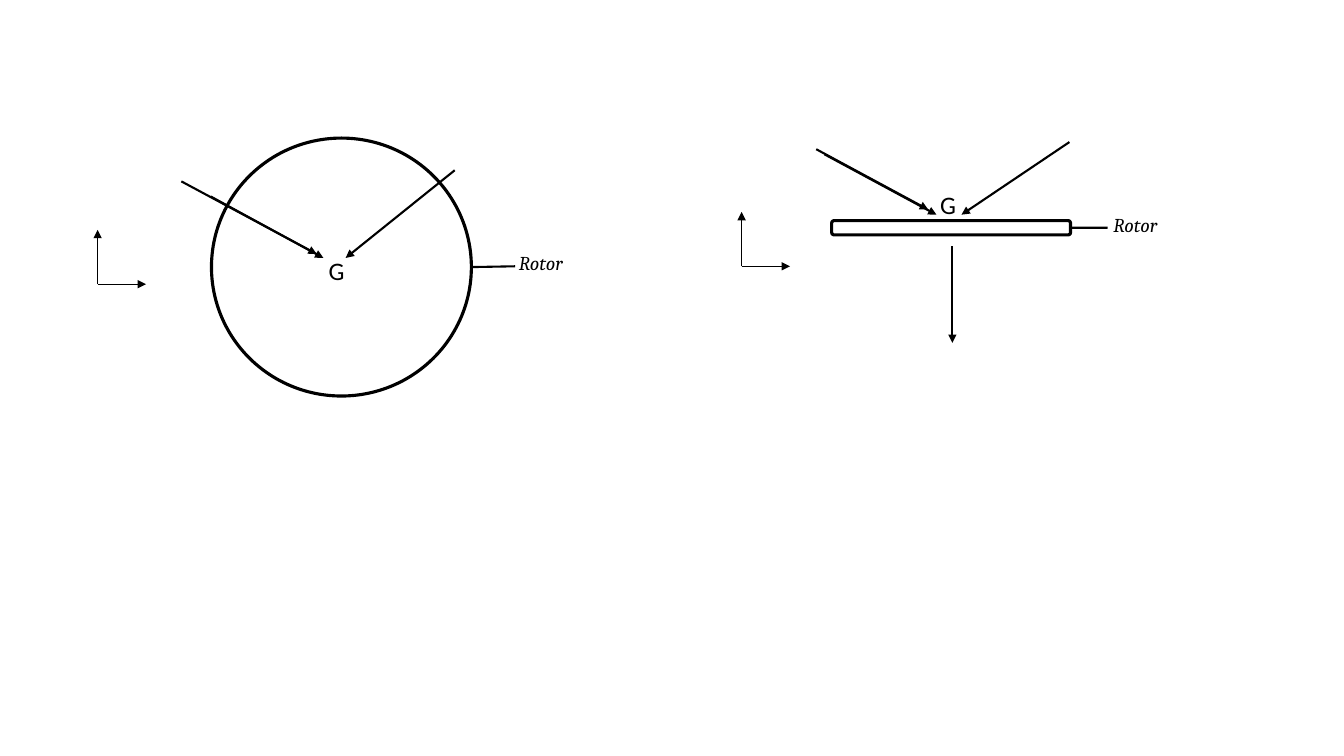
from dataclasses import dataclass

from lxml import etree
from pptx import Presentation
from pptx.dml.color import RGBColor
from pptx.enum.shapes import MSO_CONNECTOR, MSO_SHAPE
from pptx.enum.text import MSO_AUTO_SIZE
from pptx.oxml.ns import qn
from pptx.shapes.autoshape import Shape
from pptx.shapes.connector import Connector
from pptx.slide import Slide
from pptx.util import Cm, Pt

STRAIGHT = MSO_CONNECTOR.STRAIGHT
DISC = MSO_SHAPE.FLOWCHART_CONNECTOR
PLATE = MSO_SHAPE.ROUNDED_RECTANGLE
GROW = MSO_AUTO_SIZE.SHAPE_TO_FIT_TEXT
BLACK = "000000"
WHITE = "FFFFFF"
RIGHT_SIDE = 3
AXIS_WIDTH = 1.22
AXIS_HEIGHT = 1.37


@dataclass(frozen=True)
class Stroke:
    x1: float
    y1: float
    x2: float
    y2: float
    weight: float = 1.5
    arrow: bool = True


@dataclass(frozen=True)
class Body:
    kind: MSO_SHAPE
    left: float
    top: float
    width: float
    height: float


@dataclass(frozen=True)
class Label:
    text: str
    left: float
    top: float
    width: float
    height: float
    size: int
    font: str
    italic: bool


@dataclass(frozen=True)
class View:
    rotor: Body
    forces: tuple[Stroke, ...]
    leader: Stroke
    labels: tuple[Label, ...]
    origin: tuple[float, float]


def color(value: str) -> RGBColor:
    return RGBColor.from_string(value)


def centre_label(left: float, top: float) -> Label:
    return Label("G", left, top, 1.24, 1.02, 18, "Calibri", False)


def rotor_label(left: float, top: float) -> Label:
    return Label("Rotor", left, top, 2.64, 0.86, 14, "Cambria", True)


def draw_body(slide: Slide, body: Body) -> Shape:
    shape = slide.shapes.add_shape(
        body.kind, Cm(body.left), Cm(body.top), Cm(body.width), Cm(body.height)
    )
    shape.shadow.inherit = False
    shape.fill.solid()
    shape.fill.fore_color.rgb = color(WHITE)
    shape.line.color.rgb = color(BLACK)
    shape.line.width = Pt(2.25)
    return shape


def draw_stroke(slide: Slide, stroke: Stroke) -> Connector:
    connector = slide.shapes.add_connector(
        STRAIGHT, Cm(stroke.x1), Cm(stroke.y1), Cm(stroke.x2), Cm(stroke.y2)
    )
    connector.line.color.rgb = color(BLACK)
    connector.line.width = Pt(stroke.weight)
    properties = connector.element.spPr
    if stroke.arrow:
        etree.SubElement(properties.find(qn("a:ln")), qn("a:tailEnd"), type="triangle")
    etree.SubElement(properties, qn("a:effectLst"))
    return connector


def draw_label(slide: Slide, label: Label) -> None:
    box = slide.shapes.add_textbox(
        Cm(label.left), Cm(label.top), Cm(label.width), Cm(label.height)
    )
    frame = box.text_frame
    frame.word_wrap = True
    frame.auto_size = GROW
    paragraph = frame.paragraphs[0]
    paragraph.text = label.text
    paragraph.font.size = Pt(label.size)
    paragraph.font.name = label.font
    paragraph.font.italic = label.italic
    paragraph.font.color.rgb = color(BLACK)


def draw_view(slide: Slide, view: View) -> None:
    rotor = draw_body(slide, view.rotor)
    for force in view.forces:
        draw_stroke(slide, force)
    leader = draw_stroke(slide, view.leader)
    if view.rotor.kind == PLATE:
        leader.begin_connect(rotor, RIGHT_SIDE)
    for label in view.labels:
        draw_label(slide, label)
    x, y = view.origin
    draw_stroke(slide, Stroke(x, y, x + AXIS_WIDTH, y, 0.5))
    draw_stroke(slide, Stroke(x, y, x, y - AXIS_HEIGHT, 0.5))


FRONT_VIEW = View(
    rotor=Body(DISC, 5.33, 3.48, 6.55, 6.5),
    forces=(
        Stroke(5.31, 4.95, 8.15, 6.5),
        Stroke(4.57, 4.57, 7.98, 6.4),
        Stroke(11.46, 4.29, 8.71, 6.5),
    ),
    leader=Stroke(11.88, 6.73, 12.98, 6.71, arrow=False),
    labels=(centre_label(8.03, 6.32), rotor_label(12.83, 6.2)),
    origin=(2.46, 7.16),
)
SIDE_VIEW = View(
    rotor=Body(PLATE, 20.96, 5.56, 6.02, 0.36),
    forces=(
        Stroke(24, 6.2, 24, 8.64),
        Stroke(20.57, 3.76, 23.39, 5.28),
        Stroke(20.78, 3.89, 23.6, 5.41),
        Stroke(26.95, 3.58, 24.23, 5.41),
    ),
    leader=Stroke(26.98, 5.74, 27.91, 5.74, arrow=False),
    labels=(centre_label(23.44, 4.65), rotor_label(27.81, 5.23)),
    origin=(18.69, 6.71),
)


def main() -> None:
    presentation = Presentation()
    presentation.slide_width = Cm(33.87)
    presentation.slide_height = Cm(19.05)
    slide = presentation.slides.add_slide(presentation.slide_layouts[6])
    for view in (FRONT_VIEW, SIDE_VIEW):
        draw_view(slide, view)
    presentation.save("out.pptx")


if __name__ == "__main__":
    main()
